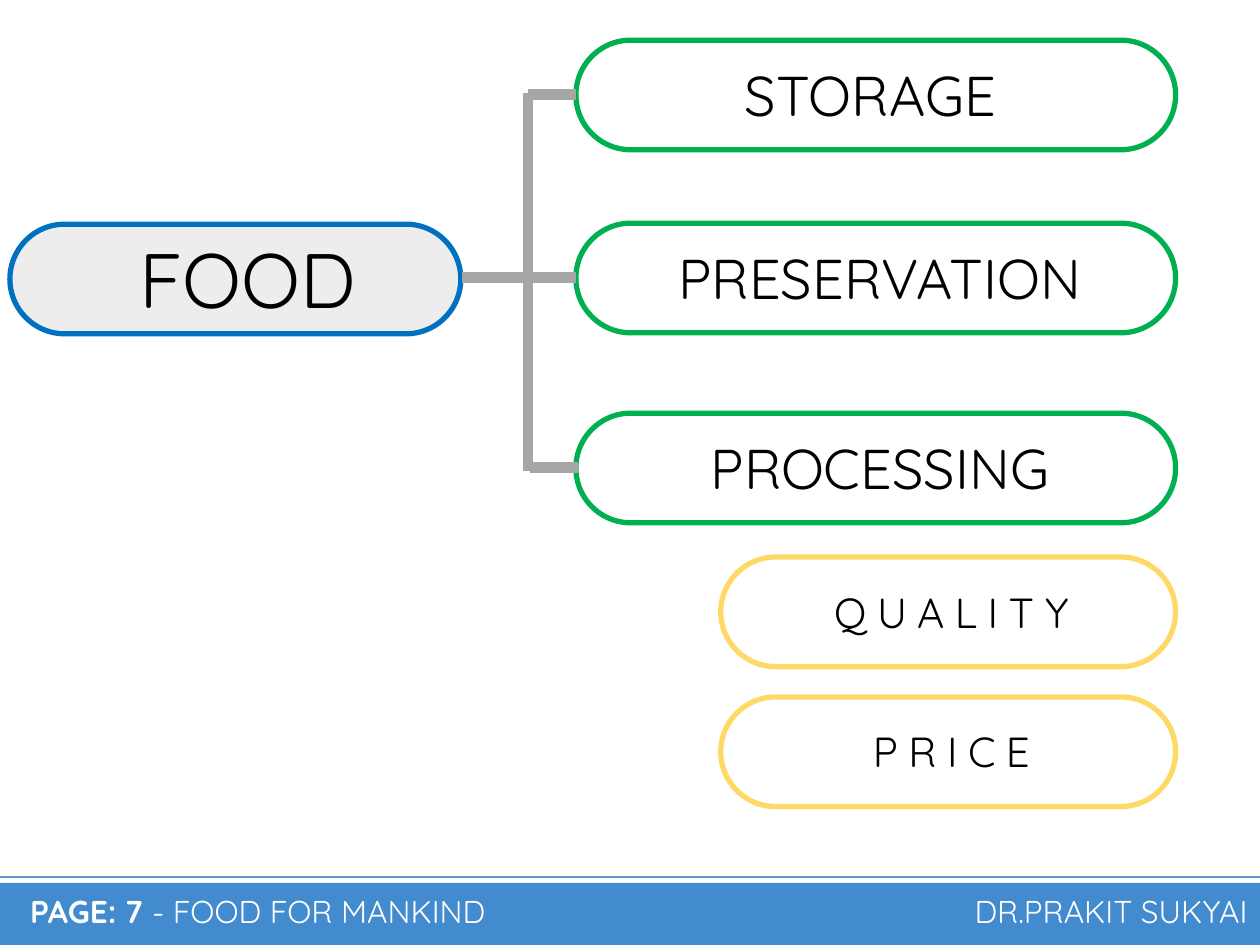
from pptx import Presentation
from pptx.dml.color import RGBColor
from pptx.enum.shapes import MSO_CONNECTOR, MSO_SHAPE
from pptx.enum.text import MSO_ANCHOR, PP_ALIGN
from pptx.oxml.ns import qn
from pptx.util import Cm, Pt
from lxml import etree

LEFT, MID, RIGHT = PP_ALIGN.LEFT, PP_ALIGN.CENTER, PP_ALIGN.RIGHT
TOP, BOTTOM = MSO_ANCHOR.TOP, MSO_ANCHOR.BOTTOM
RECT, ROUND = MSO_SHAPE.RECTANGLE, MSO_SHAPE.ROUNDED_RECTANGLE
STRAIGHT = MSO_CONNECTOR.STRAIGHT

THEME = {
    "font": "Quicksand", "ink": "000000", "paper": "FFFFFF",
    "bar": "428BCE", "rule": "5B9BD5", "link": "A6A6A6",
    "root": "0070C0", "pale": "EDEDED", "main": "00B050", "sub": "FFD966",
    "big": 44, "mid": 32, "small": 24, "foot": 18,
}

WIDE, HIGH = 25.4, 19.05
PILL = 2.21

# Each kind: pill left and width; label left, width, drop, height; look
KINDS = {
    "root": {"pill": (0.2, 9.09), "label": (2.41, 5.16, 0.03, 2.13),
             "size": "big", "fill": "pale"},
    "main": {"pill": (11.61, 12.09), "label": (12.42, 10.64, 0.29, 1.63),
             "size": "mid"},
    "sub": {"pill": (14.53, 9.17), "label": (15.14, 8.08, 0.46, 1.27),
            "size": "small", "gap": 6},
}
# Text, kind, top, label width trim
NODES = [
    ("FOOD", "root", 4.52, 0),
    ("STORAGE", "main", 0.81, 0.38),
    ("PRESERVATION", "main", 4.5, 0),
    ("PROCESSING", "main", 8.33, 0),
    ("QUALITY", "sub", 11.23, 0),
    ("PRICE", "sub", 14.05, 0),
]
TRUNK = 10.64
# Start and end of each link
LINKS = [
    ((9.32, 5.59), (11.61, 5.59)),
    ((TRUNK, 1.91), (11.61, 1.91)),
    ((TRUNK + 0.05, 9.42), (11.66, 9.42)),
    ((TRUNK, 1.88), (TRUNK, 9.5)),
]
FOOT_TOP, FOOT_HIGH = 17.96, 0.91
TITLE = [("PAGE: 7 ", True), ("- FOOD FOR MANKIND", False)]
AUTHOR = [("DR.PRAKIT SUKYAI", False)]


def tint(name):
    return RGBColor.from_string(THEME[name])


def add_text(slide, box, runs, size="foot", color="ink", align=MID,
             anchor=TOP, space=1.0, gap=0):
    """Write (text, bold) runs in a box; gap is letter spacing in points."""
    frame = slide.shapes.add_textbox(*map(Cm, box)).text_frame
    frame.word_wrap = True
    frame.vertical_anchor = anchor
    para = frame.paragraphs[0]
    para.alignment = align
    para.line_spacing = space
    for text, bold in runs:
        run = para.add_run()
        run.text = text
        font = run.font
        font.name = THEME["font"]
        font.size = Pt(THEME[size])
        font.bold = bold
        font.color.rgb = tint(color)
        if gap:
            run._r.get_or_add_rPr().set("spc", str(gap * 100))


def add_box(slide, form, box, fill=None, line=None):
    shape = slide.shapes.add_shape(form, *map(Cm, box))
    shape.shadow.inherit = False
    if fill:
        shape.fill.solid()
        shape.fill.fore_color.rgb = tint(fill)
    else:
        shape.fill.background()
    if line:
        shape.line.color.rgb = tint(line)
        shape.line.width = Pt(3)
    else:
        shape.line.fill.background()
    return shape


def add_line(slide, start, end, color, width):
    line = slide.shapes.add_connector(STRAIGHT, *map(Cm, start + end))
    line.line.color.rgb = tint(color)
    line.line.width = Pt(width)
    etree.SubElement(line._element.spPr, qn("a:effectLst"))


def add_node(slide, text, kind, top, trim):
    look = KINDS[kind]
    left, width = look["pill"]
    pill = add_box(slide, ROUND, (left, top, width, PILL),
                   fill=look.get("fill"), line=kind)
    pill.adjustments[0] = 0.5
    left, width, drop, high = look["label"]
    add_text(slide, (left, top + drop, width - trim, high), [(text, False)],
             size=look["size"], gap=look.get("gap", 0))


def add_foot(slide):
    add_box(slide, RECT, (0, 17.8, WIDE, HIGH - 17.8), fill="bar")
    add_text(slide, (0.36, FOOT_TOP, 13.61, FOOT_HIGH), TITLE, color="paper",
             align=LEFT, anchor=BOTTOM, space=0.9)
    add_text(slide, (17.22, FOOT_TOP, 8.18, FOOT_HIGH), AUTHOR, color="paper",
             align=RIGHT, anchor=BOTTOM, space=0.8)
    add_line(slide, (0, 17.68), (WIDE, 17.68), "rule", 1.5)


def main():
    deck = Presentation()
    deck.slide_width, deck.slide_height = Cm(WIDE), Cm(HIGH)
    slide = deck.slides.add_slide(deck.slide_layouts[6])
    add_foot(slide)
    for node in NODES:
        add_node(slide, *node)
    for start, end in LINKS:
        add_line(slide, start, end, "link", 6)
    deck.save("out.pptx")


if __name__ == "__main__":
    main()
